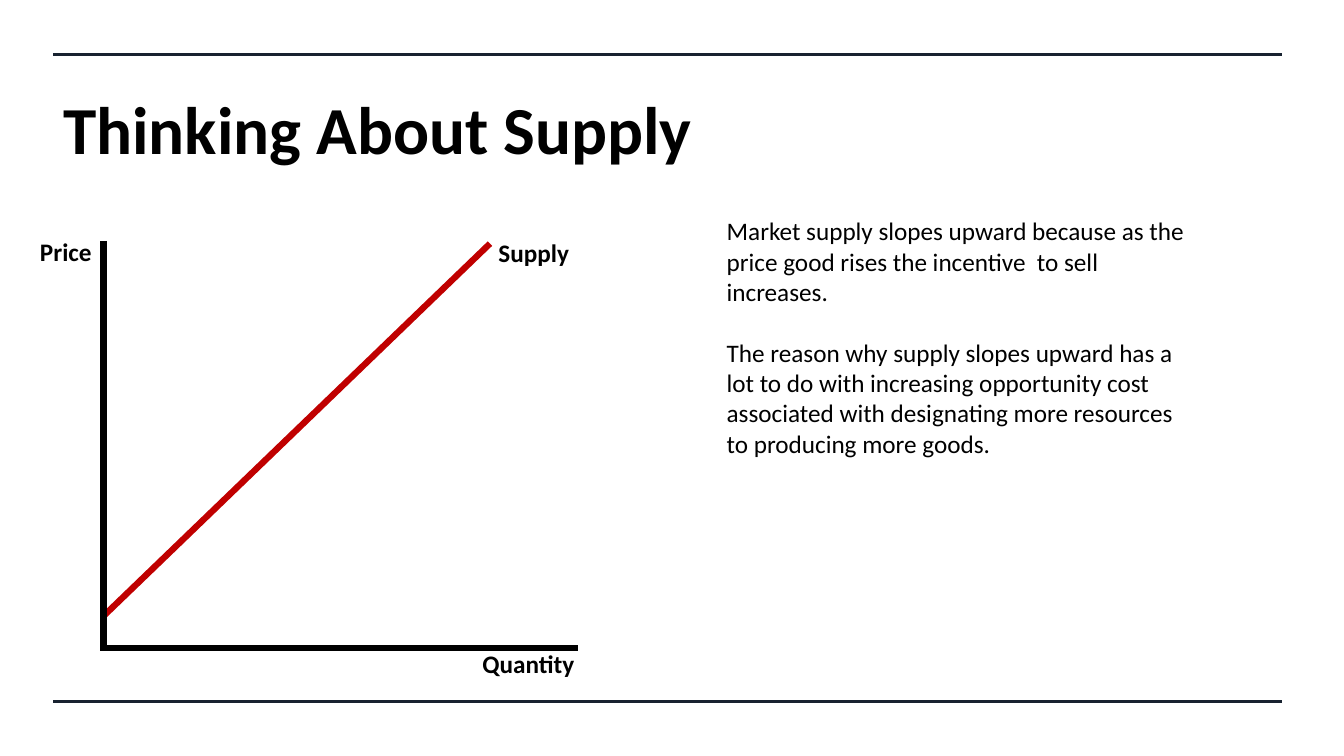
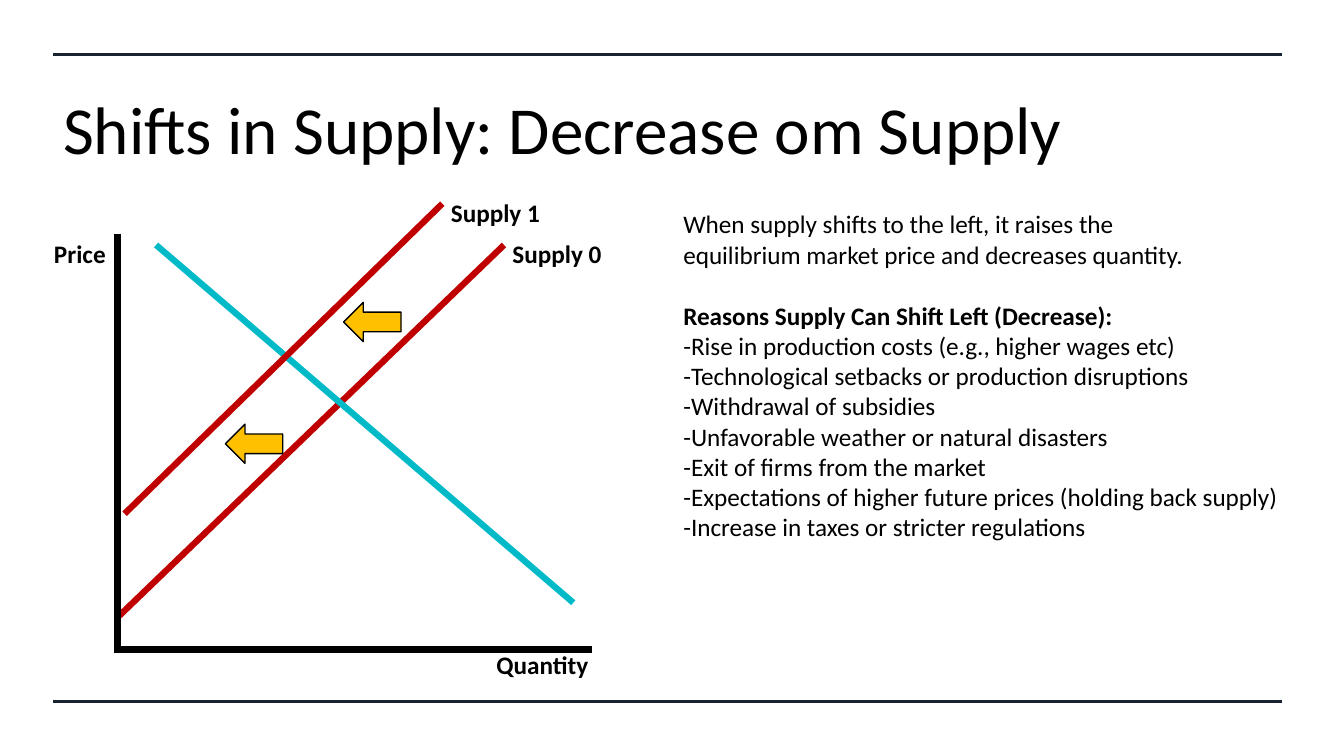
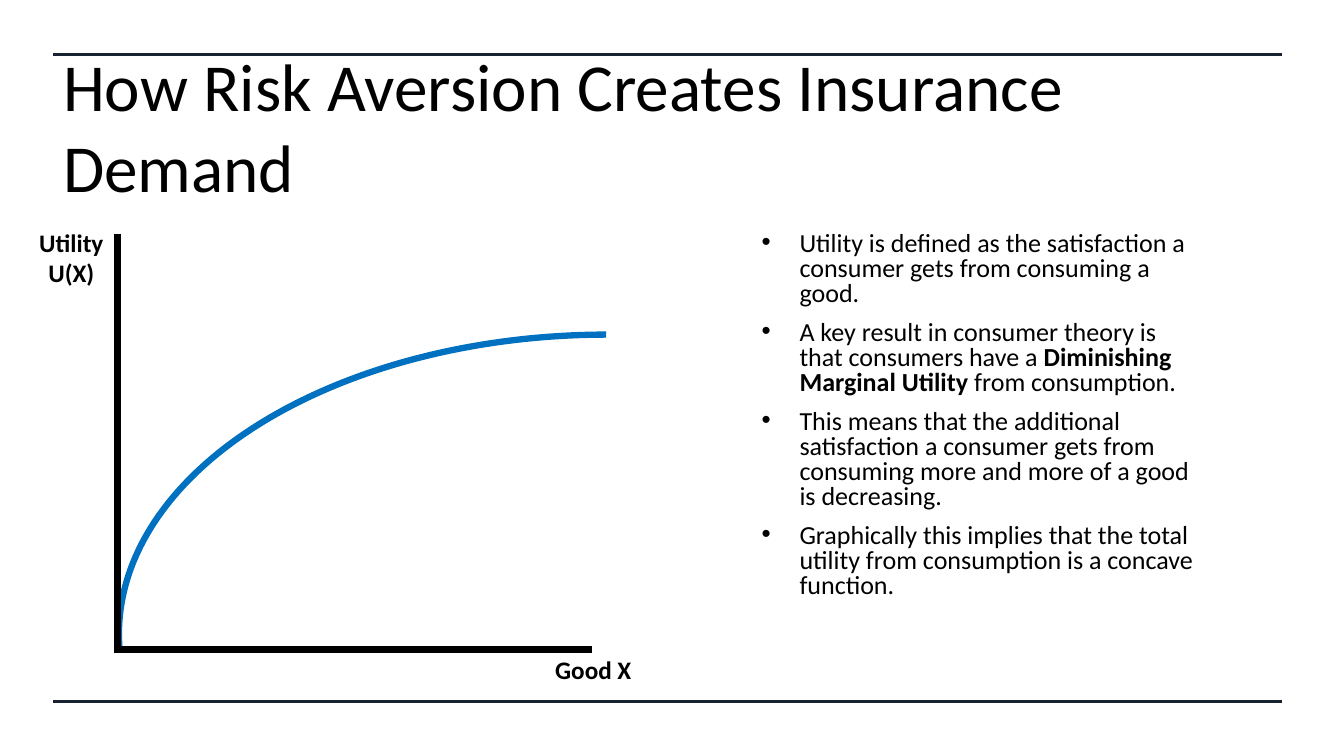
from collections import namedtuple
from dataclasses import dataclass

from lxml.etree import SubElement
from pptx import Presentation
from pptx.dml.color import RGBColor
from pptx.enum.shapes import MSO_CONNECTOR, MSO_SHAPE
from pptx.enum.text import MSO_ANCHOR, PP_ALIGN
from pptx.oxml.ns import qn
from pptx.util import Pt

Box = namedtuple("Box", "left top width height")
# Graph parts are placed from the axis origin: dx to the right, up above it
Curve = namedtuple("Curve", "start end color label")
Label = namedtuple("Label", "text dx up width align", defaults=(100, PP_ALIGN.LEFT))


@dataclass(frozen=True)
class Theme:
    font: str = "Calibri"
    ink: RGBColor = RGBColor(0x00, 0x00, 0x00)
    rule: RGBColor = RGBColor(0x18, 0x22, 0x30)
    supply: RGBColor = RGBColor(0xC0, 0x00, 0x00)
    demand: RGBColor = RGBColor(0x00, 0xBA, 0xC8)
    utility: RGBColor = RGBColor(0x00, 0x70, 0xC0)
    shift: RGBColor = RGBColor(0xFF, 0xC0, 0x00)
    title_size: float = 48
    text_size: float = 18
    bullet_size: float = 18.6
    rule_width: float = 2.25
    curve_width: float = 4.5
    outline_width: float = 1


THEME = Theme()
SLIDE = Box(0, 0, 960, 540)
TITLE = Box(38, 47, 837, 88)
RULE_LEFT, RULE_RIGHT, RULE_TOPS = 38, 916, (39, 501)
LABEL_HEIGHT = 29
BLANK_LINE = 22

PRICE = Label("Price", -52.5, 297.5)
QUANTITY = Label("Quantity", 263.5, 3.5)
SUPPLY_START, SUPPLY_END = (0, 23), (276, 289)


def set_attributes(target, values):
    for name, value in values.items():
        setattr(target, name, value)


# ---- Text ----
def add_text(slide, box, paragraphs, size=THEME.text_size, bold=False,
             anchor=MSO_ANCHOR.TOP, bullet=None, formats=()):
    """Each paragraph is a list of (text, bold) runs or a plain string.

    formats maps a paragraph's index to its paragraph format values.
    """
    frame = slide.shapes.add_textbox(*map(Pt, box)).text_frame
    set_attributes(frame, {"word_wrap": True, "vertical_anchor": anchor})
    for index, content in enumerate(paragraphs):
        paragraph = frame.paragraphs[0] if index == 0 else frame.add_paragraph()
        if bullet:
            add_bullet(paragraph, bullet)
        set_attributes(paragraph, dict(formats).get(index, {}))
        runs = [(content, bold)] if isinstance(content, str) else content
        for text, run_bold in runs:
            for part, line in enumerate(text.split("\n")):
                if part:
                    paragraph.add_line_break()
                run = paragraph.add_run()
                run.text = line
                set_attributes(run.font, {"name": THEME.font, "size": Pt(size),
                                          "bold": run_bold})
                run.font.color.rgb = THEME.ink


def add_bullet(paragraph, indent):
    properties = paragraph._p.get_or_add_pPr()
    properties.set("marL", str(Pt(indent)))
    properties.set("indent", str(-Pt(indent)))
    SubElement(properties, qn("a:buFont")).set("typeface", "Arial")
    SubElement(properties, qn("a:buChar")).set("char", "•")


# ---- Lines ----
def style_line(line, color, width):
    line.color.rgb = color
    line.width = Pt(width)


def add_line(slide, start, end, color, width):
    line = slide.shapes.add_connector(MSO_CONNECTOR.STRAIGHT,
                                      *map(Pt, (*start, *end)))
    style_line(line.line, color, width)
    SubElement(line._element.spPr, qn("a:effectLst"))


# ---- Frame shared by all slides ----
def add_frame(deck, title, title_bold=False, title_box=TITLE):
    slide = deck.slides.add_slide(deck.slide_layouts[6])
    for top in RULE_TOPS:
        add_line(slide, (RULE_LEFT, top), (RULE_RIGHT, top),
                 THEME.rule, THEME.rule_width)
    add_text(slide, title_box, [title], THEME.title_size, title_bold,
             MSO_ANCHOR.MIDDLE)
    return slide


# ---- Graph region ----
def add_axes(slide, box, labels):
    bottom = box.top + box.height
    outline = slide.shapes.build_freeform(Pt(box.left), Pt(box.top))
    outline.add_line_segments([(Pt(box.left), Pt(bottom)),
                               (Pt(box.left + box.width), Pt(bottom))], close=False)
    axes = outline.convert_to_shape()
    axes.shadow.inherit = False
    axes.fill.background()
    style_line(axes.line, THEME.ink, THEME.curve_width)
    SubElement(axes._element.spPr.find(qn("a:ln")), qn("a:miter")).set("lim", "800000")
    for label in labels:
        add_label(slide, box, label)


def add_label(slide, box, label):
    place = Box(box.left + label.dx, box.top + box.height - label.up,
                label.width, LABEL_HEIGHT)
    add_text(slide, place, [label.text], bold=True,
             formats={0: {"alignment": label.align}})


def add_curves(slide, box, curves):
    bottom = box.top + box.height
    for curve in curves:
        start, end = ((box.left + dx, bottom - up)
                      for dx, up in (curve.start, curve.end))
        add_line(slide, start, end, curve.color, THEME.curve_width)
        if curve.label:
            end_dx, end_up = curve.end
            add_label(slide, box, Label(curve.label, end_dx - 1, end_up + 8.3))


def add_shift_arrows(slide, box, places):
    for dx, up in places:
        arrow = slide.shapes.add_shape(
            MSO_SHAPE.LEFT_ARROW, Pt(box.left + dx), Pt(box.top + box.height - up),
            Pt(41), Pt(28))
        arrow.shadow.inherit = False
        arrow.fill.solid()
        arrow.fill.fore_color.rgb = THEME.shift
        style_line(arrow.line, THEME.ink, THEME.outline_width)


def add_utility_curve(slide, box):
    arc = slide.shapes.add_shape(MSO_SHAPE.ARC, Pt(box.left + 1), Pt(box.top + 72),
                                 Pt(698), Pt(428))
    arc.adjustments[0], arc.adjustments[1] = 106.84, 161.85
    arc.shadow.inherit = False
    arc.fill.background()
    style_line(arc.line, THEME.utility, THEME.curve_width)


# ---- Slides ----
def add_supply_slide(deck):
    slide = add_frame(deck, "Thinking About Supply", title_bold=True)
    graph = Box(74, 172, 339, 291)
    add_curves(slide, graph, [Curve(SUPPLY_START, SUPPLY_END, THEME.supply, "Supply")])
    add_axes(slide, graph, [PRICE, QUANTITY])
    add_text(slide, Box(512, 150.5, 344, 225), [
        "Market supply slopes upward because as the price good rises "
        "the incentive  to sell increases.",
        "The reason why supply slopes upward has a lot to do with increasing "
        "opportunity cost associated with designating more resources to "
        "producing more goods.",
    ], formats={1: {"space_before": Pt(BLANK_LINE)}})


def add_decrease_slide(deck):
    slide = add_frame(deck, "Shifts in Supply: Decrease om Supply")
    graph = Box(84, 167, 339, 297)
    add_curves(slide, graph, [
        Curve(SUPPLY_START, SUPPLY_END, THEME.supply, "Supply 0"),
        Curve((27.5, 289), (325.5, 33.5), THEME.demand, None),
        Curve((5, 97), (232, 318.5), THEME.supply, "Supply 1"),
    ])
    add_axes(slide, graph, [PRICE, QUANTITY])
    add_shift_arrows(slide, graph, [(161.5, 248), (77, 161)])
    add_text(slide, Box(481, 145.5, 460, 250), [
        "When supply shifts to the left, it raises the\n"
        "equilibrium market price and decreases quantity.",
        [("Reasons Supply Can Shift Left (Decrease):", True)],
        "-Rise in production costs (e.g., higher wages etc)",
        "-Technological setbacks or production disruptions",
        "-Withdrawal of subsidies",
        "-Unfavorable weather or natural disasters",
        "-Exit of firms from the market",
        "-Expectations of higher future prices (holding back supply)",
        "-Increase in taxes or stricter regulations",
    ], formats={1: {"space_before": Pt(BLANK_LINE)}})


def add_utility_slide(deck):
    slide = add_frame(deck, "How Risk Aversion Creates Insurance Demand",
                      title_box=Box(38, 52.5, 877, 74))
    graph = Box(84, 167, 339, 297)
    add_utility_curve(slide, graph)
    add_axes(slide, graph, [
        Label("Utility\nU(X)", -83, 305.5, align=PP_ALIGN.CENTER),
        Label("Good X", 305.5, 0),
    ])
    points = [
        "Utility is defined as the satisfaction a consumer gets from consuming a good.",
        [("A key result in consumer theory is that consumers have a ", False),
         ("Diminishing Marginal Utility ", True),
         ("from consumption.", False)],
        "This means that the additional satisfaction a consumer gets from "
        "consuming more and more of a good is decreasing.",
        "Graphically this implies that the total utility from consumption "
        "is a concave function.",
    ]
    spacing = {index: {"line_spacing": 0.8, "space_before": Pt(10 if index else 0)}
               for index in range(len(points))}
    add_text(slide, Box(537, 162.5, 323, 300), points, THEME.bullet_size,
             bullet=27, formats=spacing)


def main():
    deck = Presentation()
    set_attributes(deck, {"slide_width": Pt(SLIDE.width),
                          "slide_height": Pt(SLIDE.height)})
    for add_slide in (add_supply_slide, add_decrease_slide, add_utility_slide):
        add_slide(deck)
    deck.save("out.pptx")


if __name__ == "__main__":
    main()
